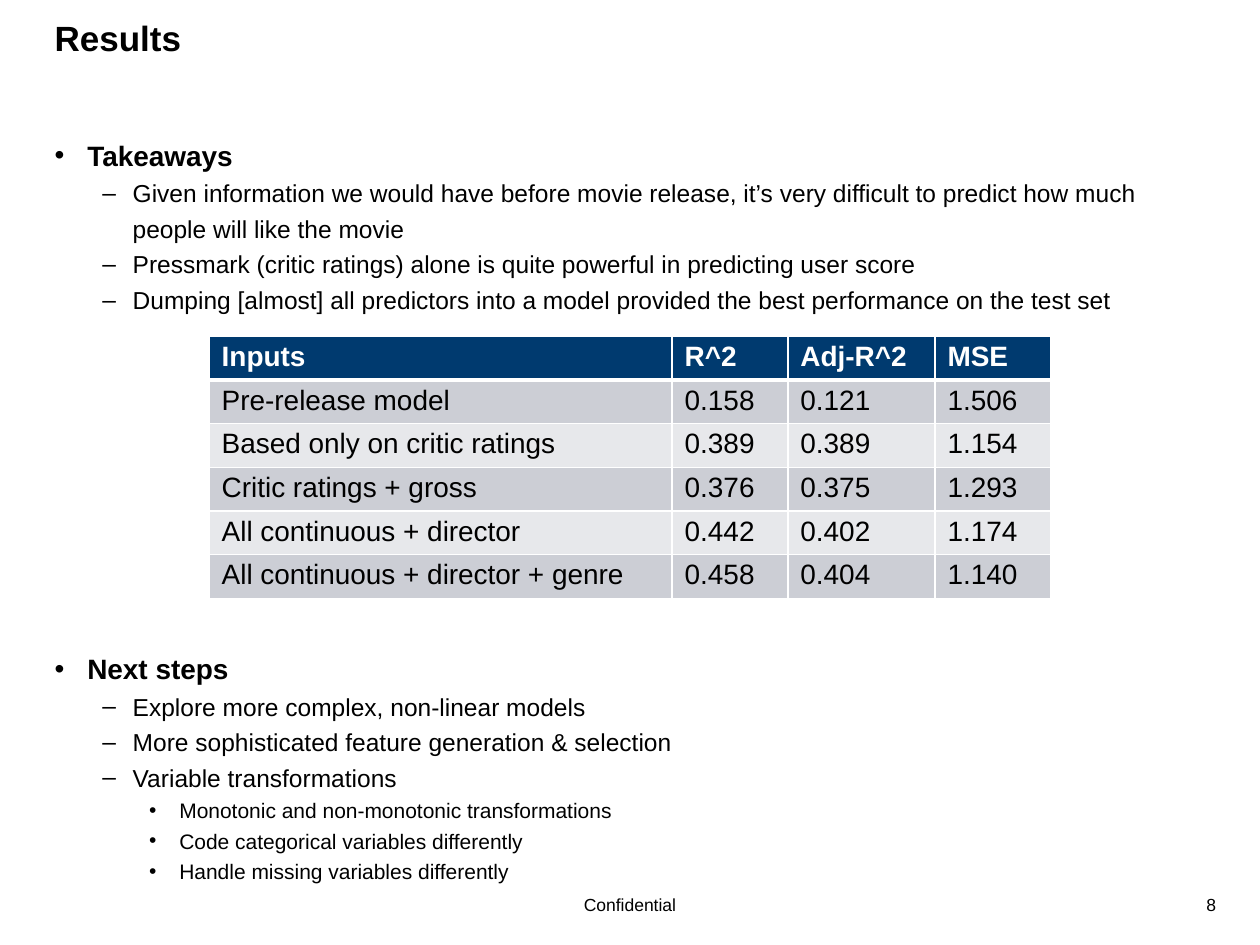
from lxml import etree
from pptx import Presentation
from pptx.dml.color import RGBColor
from pptx.enum.text import PP_ALIGN
from pptx.oxml.ns import qn
from pptx.util import Inches, Pt

LEFT, CENTER, RIGHT = PP_ALIGN.LEFT, PP_ALIGN.CENTER, PP_ALIGN.RIGHT
FONT = "Arial"
BLACK, WHITE, NAVY = "000000", "FFFFFF", "003A6F"
BANDS = ("CCCED5", "E7E8EB")

# Per outline level: bullet, text indent, hanging indent (inches), size, bold
LEVELS = (("•", 0.26, 0.26, 16, True),
          ("–", 0.62, 0.24, 14, False),
          ("•", 0.99, 0.24, 12, False))

TAKEAWAYS = (
    (0, "Takeaways"),
    (1, "Given information we would have before movie release, it’s very "
        "difficult to predict how much people will like the movie"),
    (1, "Pressmark (critic ratings) alone is quite powerful in predicting user score"),
    (1, "Dumping [almost] all predictors into a model provided the best "
        "performance on the test set"),
)
NEXT_STEPS = (
    (0, "Next steps"),
    (1, "Explore more complex, non-linear models"),
    (1, "More sophisticated feature generation & selection"),
    (1, "Variable transformations"),
    (2, "Monotonic and non-monotonic transformations"),
    (2, "Code categorical variables differently"),
    (2, "Handle missing variables differently"),
)
SCORES = (
    ("Inputs", "R^2", "Adj-R^2", "MSE"),
    ("Pre-release model", "0.158", "0.121", "1.506"),
    ("Based only on critic ratings", "0.389", "0.389", "1.154"),
    ("Critic ratings + gross", "0.376", "0.375", "1.293"),
    ("All continuous + director", "0.442", "0.402", "1.174"),
    ("All continuous + director + genre", "0.458", "0.404", "1.140"),
)
COLUMN_WEIGHTS = (3.68, 0.92, 1.17, 0.92)

prs = Presentation()
prs.slide_width, prs.slide_height = Inches(10), Inches(7.5)


def rgb(color):
    return RGBColor.from_string(color)


def area(x, y, w, h):
    """Turn percentages of the slide into left, top, width, height."""
    sw, sh = prs.slide_width / 100, prs.slide_height / 100
    return int(x * sw), int(y * sh), int(w * sw), int(h * sh)


def style(p, size, bold=False, color=BLACK, align=LEFT):
    p.alignment = align
    p.font.name, p.font.size, p.font.bold = FONT, Pt(size), bold
    p.font.color.rgb = rgb(color)


def add_frame(s, box):
    tf = s.shapes.add_textbox(*box).text_frame
    tf.word_wrap = True
    return tf


def add_line(s, box, text, size, bold=False, align=LEFT):
    p = add_frame(s, box).paragraphs[0]
    p.text = text
    style(p, size, bold, align=align)


def add_outline(s, box, items):
    tf = add_frame(s, box)
    for i, (level, text) in enumerate(items):
        bullet, indent, hang, size, bold = LEVELS[level]
        p = tf.add_paragraph() if i else tf.paragraphs[0]
        p.text, p.level = text, level
        p.line_spacing, p.space_before = 1.2, Pt(0.2)
        style(p, size, bold)
        pPr = p._p.get_or_add_pPr()
        pPr.set("marL", str(Inches(indent)))
        pPr.set("indent", str(-Inches(hang)))
        # Bullet font and mark go before the default run properties
        defaults = pPr.find(qn("a:defRPr"))
        defaults.addprevious(etree.Element(qn("a:buFont"), typeface=FONT))
        defaults.addprevious(etree.Element(qn("a:buChar"), char=bullet))


def set_borders(cell, color, **widths):
    tcPr = cell._tc.get_or_add_tcPr()
    for i, side in enumerate("LRTB"):
        ln = etree.Element(qn(f"a:ln{side}"), w=str(Pt(widths.get(side, 1))))
        fill = etree.SubElement(ln, qn("a:solidFill"))
        etree.SubElement(fill, qn("a:srgbClr"), val=color)
        tcPr.insert(i, ln)


def add_scores(s, box, rows):
    frame = s.shapes.add_table(len(rows), len(COLUMN_WEIGHTS), *box)
    table = frame.table
    for column, weight in zip(table.columns, COLUMN_WEIGHTS):
        column.width = int(box[2] * weight / sum(COLUMN_WEIGHTS))
    for r, values in enumerate(rows):
        header = r == 0
        for c, value in enumerate(values):
            cell = table.cell(r, c)
            cell.text = value
            cell.margin_top = cell.margin_bottom = Inches(0.04)
            style(cell.text_frame.paragraphs[0], 16, header,
                  WHITE if header else BLACK)
            cell.fill.solid()
            cell.fill.fore_color.rgb = rgb(NAVY if header else BANDS[(r - 1) % 2])
            set_borders(cell, WHITE, B=3 if header else 1, T=3 if r == 1 else 1)


def build_results(s):
    # Title
    add_line(s, area(3.35, 1.1, 93.3, 10.3), "Results", 20, bold=True)
    # Findings, scores and next steps
    add_outline(s, area(3.35, 13.3, 93.3, 21), TAKEAWAYS)
    add_scores(s, area(16.6, 35.6, 66.8, 27.7), SCORES)
    add_outline(s, area(3.35, 67.6, 93.3, 26), NEXT_STEPS)
    # Footer
    add_line(s, area(20, 94, 60, 3.6), "Confidential", 10, align=CENTER)
    add_line(s, area(93, 94, 4.5, 3.6), "8", 10, align=RIGHT)


build_results(prs.slides.add_slide(prs.slide_layouts[6]))
prs.save("out.pptx")
